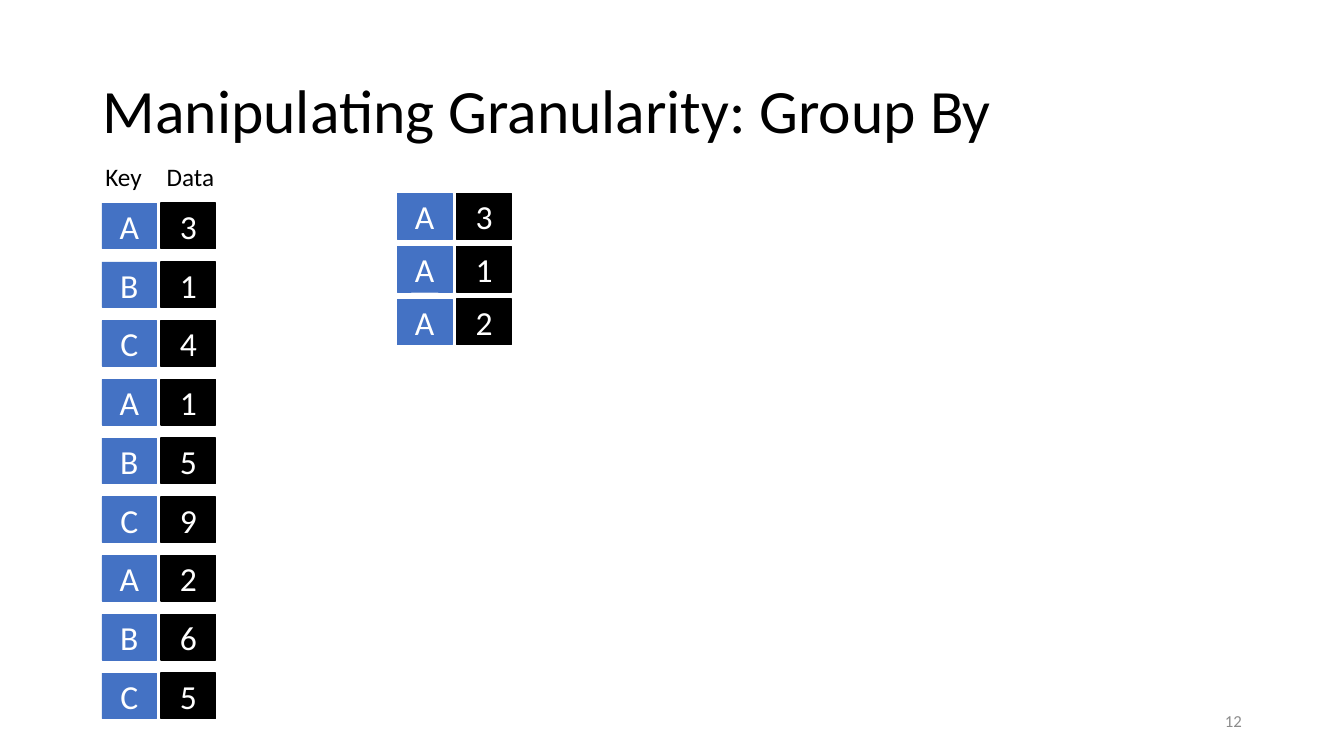
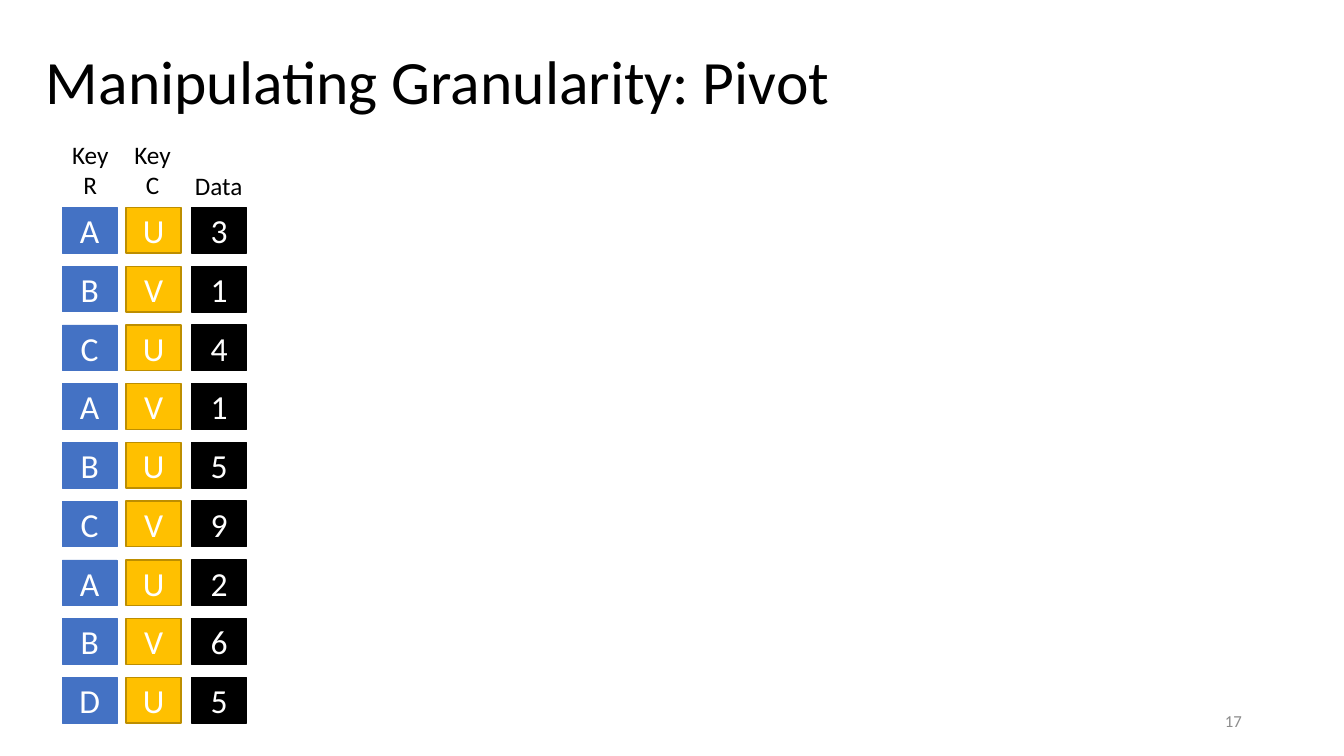
from pptx import Presentation
from pptx.dml.color import RGBColor
from pptx.enum.shapes import MSO_SHAPE
from pptx.enum.text import MSO_ANCHOR, MSO_AUTO_SIZE, PP_ALIGN
from pptx.util import Cm, Pt

RECTANGLE = MSO_SHAPE.RECTANGLE
TOP, MIDDLE = MSO_ANCHOR.TOP, MSO_ANCHOR.MIDDLE
LEFT, CENTER, RIGHT = PP_ALIGN.LEFT, PP_ALIGN.CENTER, PP_ALIGN.RIGHT
FIXED, GROW = MSO_AUTO_SIZE.NONE, MSO_AUTO_SIZE.SHAPE_TO_FIT_TEXT

COLORS = {
    "black": "000000",
    "white": "FFFFFF",
    "blue": "4472C4",
    "gold": "FFC000",
    "dark gold": "BD8E00",
    "gray": "8C8C8C",
}
FRAME_FORMATS = {
    "title": {"vertical_anchor": MIDDLE, "word_wrap": True, "auto_size": FIXED},
    "label": {"vertical_anchor": TOP, "word_wrap": False, "auto_size": GROW},
    "cell": {"vertical_anchor": MIDDLE, "word_wrap": True, "auto_size": FIXED},
    "number": {"vertical_anchor": MIDDLE, "word_wrap": True, "auto_size": FIXED},
}
PARAGRAPH_FORMATS = {
    "title": {"alignment": LEFT, "line_spacing": 0.9},
    "label": {"alignment": CENTER},
    "cell": {"alignment": CENTER},
    "number": {"alignment": RIGHT},
}
FONTS = {
    "title": (44, "black"),
    "label": (18, "black"),
    "cell": (24, "white"),
    "number": (12, "gray"),
}
CELL_STYLES = {
    "key": ("blue", "blue", 0.5),
    "pivot": ("gold", "dark gold", 1),
    "data": ("black", "black", 1),
}
CELL_WIDTH, CELL_HEIGHT = 1.38, 1.15
ROW_PITCH, GROUPED_PITCH = 1.48, 1.33

SLIDES = [
    {
        "title": ("Manipulating Granularity: Group By", 2.34, 1.02, 29.21, 3.68),
        "number": "12",
        "labels": [("Key", 2.29, 3.94, 1.65, 1.02), ("Data", 3.76, 3.94, 2.08, 1.02)],
        "stacks": [
            {
                "columns": [("key", 2.57), ("data", 4.06)],
                "top": 5.12,
                "pitch": ROW_PITCH,
                "rows": ["A3", "B1", "C4", "A1", "B5", "C9", "A2", "B6", "C5"],
            },
            {
                "columns": [("key", 10.01), ("data", 11.51)],
                "top": 4.88,
                "pitch": GROUPED_PITCH,
                "rows": ["A3", "A1", "A2"],
            },
        ],
    },
    {
        "title": ("Manipulating Granularity: Pivot", 0.91, 0.28, 30, 3.68),
        "number": "17",
        "labels": [
            ("Key\vR", 1.45, 3.38, 1.65, 1.8),
            ("Key\nC", 3.02, 3.38, 1.65, 1.8),
            ("Data", 4.47, 4.17, 2.08, 1.02),
        ],
        "stacks": [
            {
                "columns": [("key", 1.57), ("pivot", 3.18), ("data", 4.83)],
                "top": 5.23,
                "pitch": ROW_PITCH,
                "rows": ["AU3", "BV1", "CU4", "AV1", "BU5", "CV9", "AU2", "BV6", "DU5"],
            },
        ],
    },
]


def write_text(shape, text, style):
    frame = shape.text_frame
    frame.text = text
    for name, value in FRAME_FORMATS[style].items():
        setattr(frame, name, value)
    size, color = FONTS[style]
    for paragraph in frame.paragraphs:
        for name, value in PARAGRAPH_FORMATS[style].items():
            setattr(paragraph, name, value)
        for run in paragraph.runs:
            font_format = {"name": "Calibri", "size": Pt(size)}
            for name, value in font_format.items():
                setattr(run.font, name, value)
            run.font.color.rgb = RGBColor.from_string(COLORS[color])


def add_text(slide, style, text, left, top, width, height):
    box = slide.shapes.add_textbox(Cm(left), Cm(top), Cm(width), Cm(height))
    write_text(box, text, style)


presentation = Presentation()
presentation.slide_width = Cm(33.87)
presentation.slide_height = Cm(19.05)
blank_layout = presentation.slide_layouts[6]

for content in SLIDES:
    slide = presentation.slides.add_slide(blank_layout)
    add_text(slide, "title", *content["title"])
    for label in content["labels"]:
        add_text(slide, "label", *label)
    for stack in content["stacks"]:
        for index, row in enumerate(stack["rows"]):
            top = stack["top"] + index * stack["pitch"]
            group = slide.shapes.add_group_shape()
            for (kind, left), value in zip(stack["columns"], row):
                fill, line, line_width = CELL_STYLES[kind]
                cell = group.shapes.add_shape(
                    RECTANGLE, Cm(left), Cm(top), Cm(CELL_WIDTH), Cm(CELL_HEIGHT)
                )
                cell.shadow.inherit = False
                cell.fill.solid()
                cell.fill.fore_color.rgb = RGBColor.from_string(COLORS[fill])
                cell.line.color.rgb = RGBColor.from_string(COLORS[line])
                cell.line.width = Pt(line_width)
                write_text(cell, value, "cell")
    add_text(slide, "number", content["number"], 23.93, 17.65, 7.62, 1.02)

presentation.save("out.pptx")
